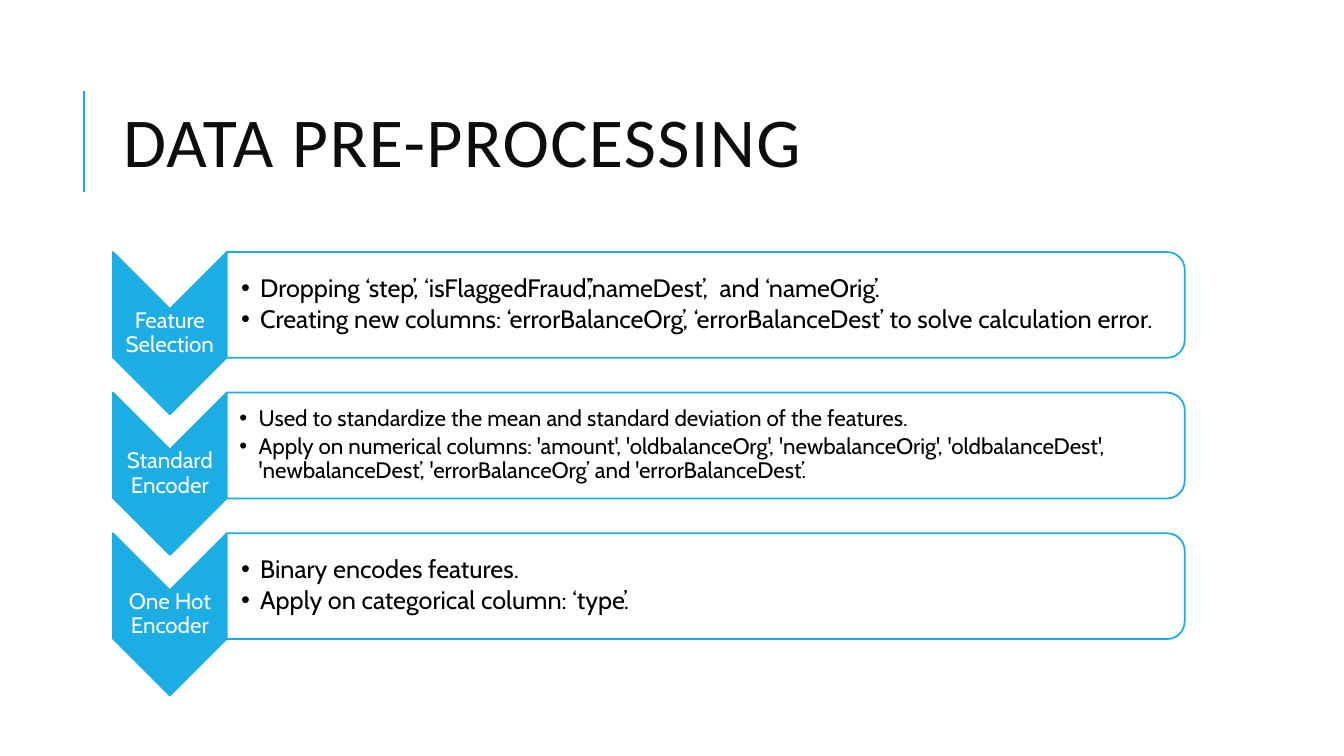
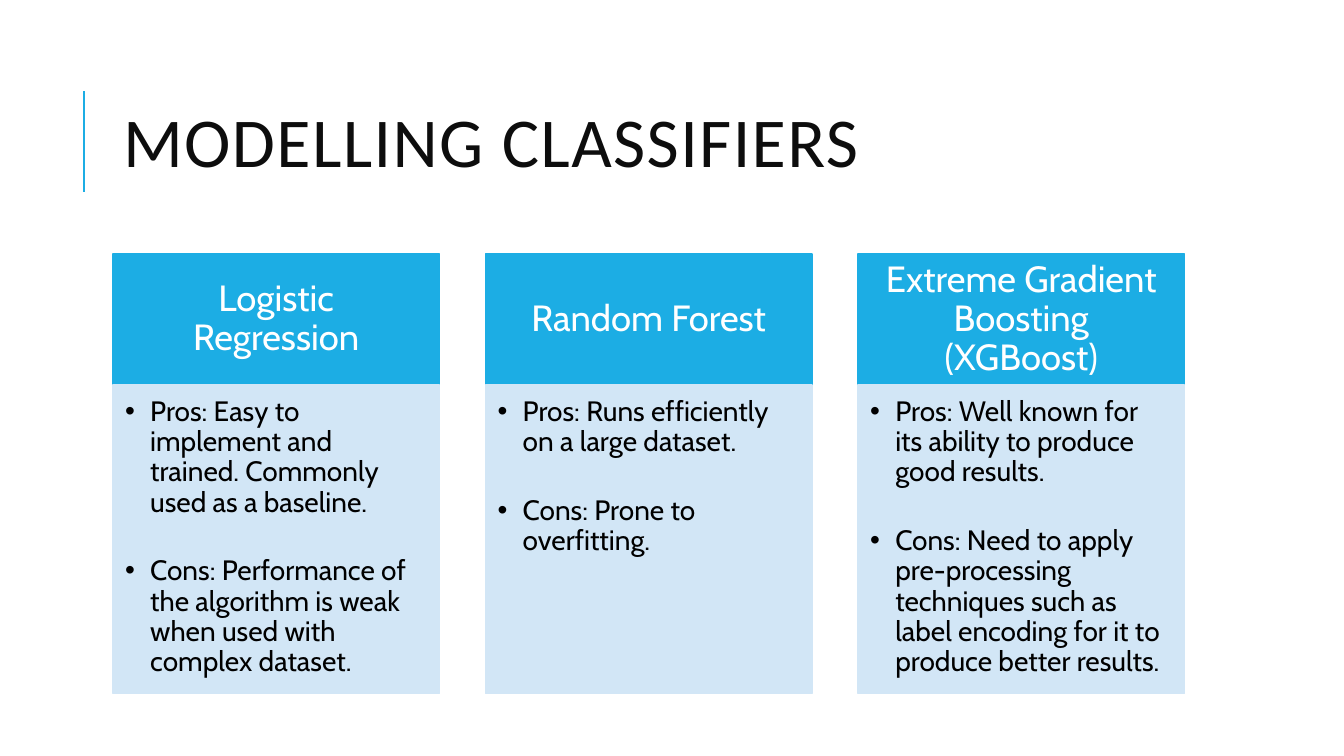
from lxml.etree import SubElement
from pptx import Presentation
from pptx.dml.color import RGBColor
from pptx.enum.shapes import MSO_CONNECTOR, MSO_SHAPE
from pptx.enum.text import MSO_ANCHOR, MSO_AUTO_SIZE, PP_ALIGN
from pptx.oxml.ns import qn
from pptx.util import Inches, Pt

BLUE = RGBColor(0x1C, 0xAD, 0xE4)
PALE = RGBColor(0xD2, 0xE6, 0xF6)
WHITE = RGBColor(0xFF, 0xFF, 0xFF)
BLACK = RGBColor(0, 0, 0)
INK = RGBColor(0x0D, 0x0D, 0x0D)

STEPS = [
    ("Feature Selection", 18, [
        "Dropping ‘step’, ‘isFlaggedFraud’,’nameDest’,  and ‘nameOrig’.",
        "Creating new columns: ‘errorBalanceOrg’, ‘errorBalanceDest’ to solve calculation error."]),
    ("Standard Encoder", 16, [
        "Used to standardize the mean and standard deviation of the features.",
        "Apply on numerical columns: 'amount', 'oldbalanceOrg', 'newbalanceOrig', "
        "'oldbalanceDest', 'newbalanceDest’, 'errorBalanceOrg’ and 'errorBalanceDest’."]),
    ("One Hot Encoder", 18, [
        "Binary encodes features.",
        "Apply on categorical column: ‘type’."]),
]
MODELS = [
    ("Logistic Regression", [
        "Pros: Easy to implement and trained. Commonly used as a baseline.",
        "Cons: Performance of the algorithm is weak when used with complex dataset."]),
    ("Random Forest", [
        "Pros: Runs efficiently on a large dataset.",
        "Cons: Prone to overfitting."]),
    ("Extreme Gradient Boosting (XGBoost)", [
        "Pros: Well known for its ability to produce good results.",
        "Cons: Need to apply pre-processing techniques such as label encoding "
        "for it to produce better results."]),
]

# Content area shared by both slides, in inches
LEFT, WIDTH, END = 1.12, 10.63, 6.88


def write(shape, lines, size, color, font="Cabin", align=PP_ALIGN.LEFT,
          anchor=MSO_ANCHOR.MIDDLE, inset=(0.01,) * 4, lead=0.9, gap=0,
          indent=0, track=0):
    """Fill a shape with paragraphs; a nonzero indent makes them bullets."""
    frame = shape.text_frame
    frame.word_wrap = True
    frame.auto_size = MSO_AUTO_SIZE.NONE
    frame.vertical_anchor = anchor
    (frame.margin_left, frame.margin_top,
     frame.margin_right, frame.margin_bottom) = map(Inches, inset)
    for i, line in enumerate(lines):
        para = frame.paragraphs[0] if i == 0 else frame.add_paragraph()
        para.alignment = align
        para.line_spacing = lead
        if i:
            para.space_before = Pt(gap)
        if indent:
            props = para._p.get_or_add_pPr()
            props.set("marL", str(Inches(indent)))
            props.set("indent", str(-Inches(indent)))
            SubElement(props, qn("a:buFont")).set("typeface", "Arial")
            SubElement(props, qn("a:buChar")).set("char", "•")
        run = para.add_run()
        run.text = line
        run.font.name, run.font.size = font, Pt(size)
        run.font.color.rgb = color
        if track:
            run._r.get_or_add_rPr().set("spc", str(track * 100))


def draw(slide, kind, x, y, w, h, fill, line, turn=False):
    """Add a shape that covers the given box, turned a quarter if asked."""
    if turn:
        x, y, w, h = x + (w - h) / 2, y + (h - w) / 2, h, w
    shape = slide.shapes.add_shape(kind, *map(Inches, (x, y, w, h)))
    shape.rotation = 90 if turn else 0
    shape.shadow.inherit = False
    shape.fill.solid()
    shape.fill.fore_color.rgb = fill
    shape.line.color.rgb = line
    shape.line.width = Pt(1.25)
    return shape


def text_box(slide, x, y, w, h):
    return slide.shapes.add_textbox(*map(Inches, (x, y, w, h)))


def start(deck, name):
    """Add a slide with the shared title and the rule beside it."""
    slide = deck.slides.add_slide(deck.slide_layouts[5])
    rule = slide.shapes.add_connector(
        MSO_CONNECTOR.STRAIGHT, *map(Inches, (0.83, 1.9, 0.83, 0.9)))
    rule.line.color.rgb = BLUE
    rule.line.width = Pt(1.5)
    SubElement(rule._element.spPr, qn("a:effectLst"))
    title = slide.shapes.title
    title.left, title.top = Inches(LEFT), Inches(0.64)
    title.width, title.height = Inches(WIDTH), Inches(1.64)
    write(title, [name], 50, INK, font="Calibri", lead=0.8, track=1,
          inset=(0.1, 0.05, 0.1, 0.05))
    return slide


def add_steps(deck):
    slide = start(deck, "DATA PRE-PROCESSING")
    top, tall, wide, high = 2.5, 1.61, 1.13, 1.05
    pitch = (END + 0.02 - top - tall) / (len(STEPS) - 1)
    right = LEFT + wide
    for i, (label, size, notes) in enumerate(STEPS):
        y = top + i * pitch
        draw(slide, MSO_SHAPE.CHEVRON, LEFT, y, wide, tall, BLUE, BLUE, turn=True)
        write(text_box(slide, LEFT, y + wide / 2, wide, tall - wide),
              [label], 16, WHITE, align=PP_ALIGN.CENTER)
        draw(slide, MSO_SHAPE.ROUND_2_SAME_RECTANGLE, right, y,
             WIDTH - wide, high, WHITE, BLUE, turn=True)
        write(text_box(slide, right, y + 0.05, WIDTH - wide - 0.05, high - 0.1),
              notes, size, BLACK, gap=0.15 * size, indent=0.19,
              inset=(size / 128, 0.01, 0.01, 0.01))


def add_models(deck):
    slide = start(deck, "MODELLING CLASSIFIERS")
    top, wide, head = 2.52, 3.24, 1.3
    pitch = (WIDTH - wide) / (len(MODELS) - 1)
    for i, (name, notes) in enumerate(MODELS):
        x = LEFT + i * pitch
        band = draw(slide, MSO_SHAPE.RECTANGLE, x, top, wide, head, BLUE, BLUE)
        write(band, [name], 26, WHITE, align=PP_ALIGN.CENTER,
              inset=(0.2, 0.12, 0.2, 0.12))
        card = draw(slide, MSO_SHAPE.RECTANGLE, x, top + head, wide,
                    END - top - head, PALE, PALE)
        write(card, notes, 20, BLACK, anchor=MSO_ANCHOR.TOP, gap=27.5,
              indent=0.25, inset=(0.12, 0.12, 0.16, 0.17))


def main():
    deck = Presentation()
    deck.slide_width, deck.slide_height = Inches(13.33), Inches(7.5)
    add_steps(deck)
    add_models(deck)
    deck.save("out.pptx")


if __name__ == "__main__":
    main()
